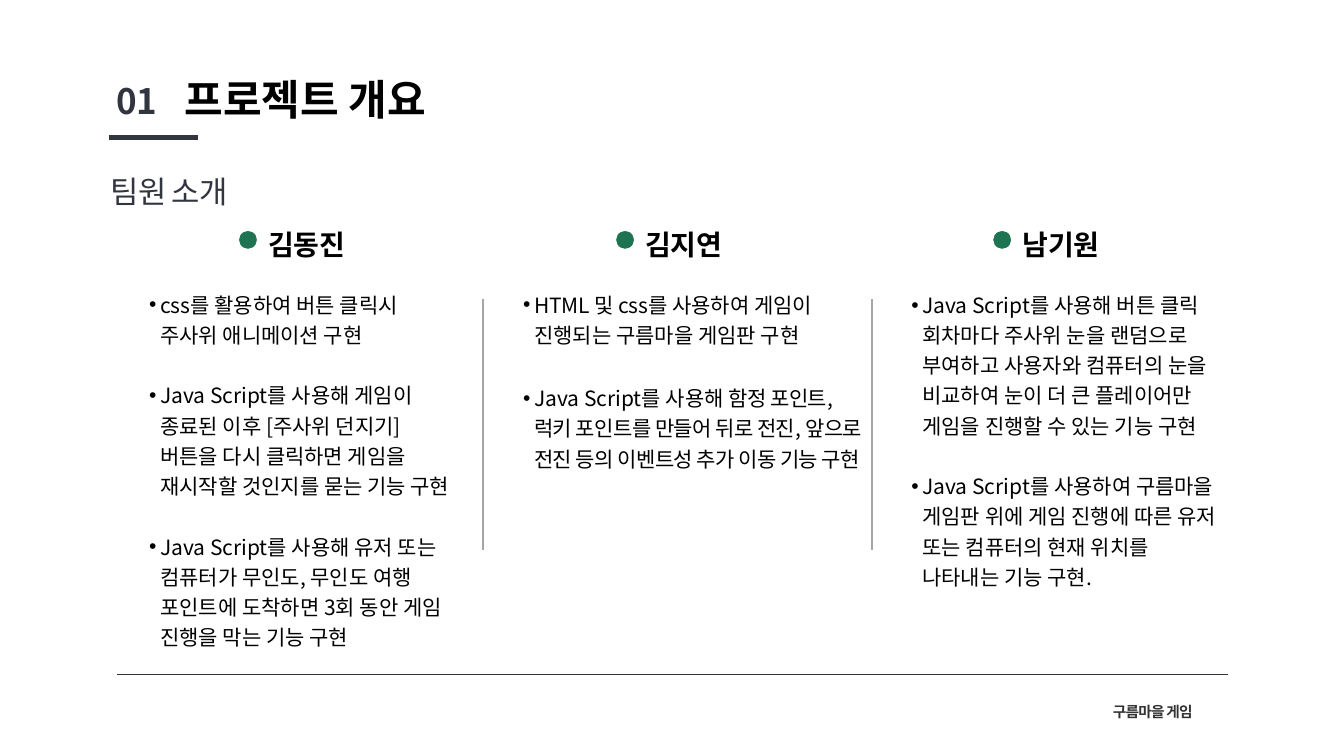
from lxml.etree import SubElement
from pptx import Presentation
from pptx.dml.color import RGBColor
from pptx.enum.shapes import MSO_CONNECTOR as Connector, MSO_SHAPE as Shape
from pptx.enum.text import MSO_ANCHOR as Anchor, PP_ALIGN as Align
from pptx.oxml.ns import qn
from pptx.util import Inches, Pt

NOTO = "Noto Sans CJK KR"
CALIBRI = "Calibri"
BLACK, SLATE, GREEN, GRAY = "000000", "313540", "1E7452", "A6A6A6"
BODY_TOP = 2.8
TASK_LINE_SPACING = 1.2

# name, dot left, task box (left, width, height), gap between tasks in points,
# tasks as lists of (text, letter spacing in points)
MEMBERS = [
    ("김동진", 2.36, (1.37, 3.26, 3.7), 21.6, [
        [("css를 활용하여 버튼 클릭시 주사위 애니메이션 구현", 0)],
        [("Java Script를 사용해 게임이 종료된 이후 [주사위 던지기] 버튼을 다시 "
          "클릭하면 게임을 재시작할 것인지를 묻는 기능 구현", 0)],
        [("Java Script를 사용해 유저 또는 컴퓨터가 무인도, 무인도 여행 포인트에 "
          "도착하면 3회 동안 게임 진행을 막는 기능 구현", 0)],
    ]),
    ("김지연", 6.1, (5.08, 3.57, 2.53), 23.6, [
        [("HTML 및 css를 ", -0.1),
         ("사용하여 게임이 진행되는 구름마을 게임판 구현", 0)],
        [("Java Script를 사용해 ", 0),
         ("함정 포인트, 럭키 포인트를 만들어 뒤로 전진, 앞으로 전진 등의 "
          "이벤트성 추가 이동 기능 구현", -0.4)],
    ]),
    ("남기원", 9.84, (8.93, 3.31, 3.65), 21.6, [
        [("Java Script를 사용해 버튼 클릭 회차마다 주사위 눈을 랜덤으로 부여하고 "
          "사용자와 컴퓨터의 눈을 비교하여 눈이 더 큰 플레이어만 게임을 진행할 수 "
          "있는 기능 구현", 0)],
        [("Java Script를 사용하여 구름마을 게임판 위에 게임 진행에 따른 유저 또는 "
          "컴퓨터의 현재 위치를 나타내는 기능 구현.", 0)],
    ]),
]


def color(value):
    return RGBColor.from_string(value)


def add_span(para, text, size, font=NOTO, fill=BLACK, bold=False, spacing=0):
    span = para.add_run()
    span.text = text
    span.font.name = font
    span.font.size = Pt(size)
    span.font.bold = bold
    span.font.color.rgb = color(fill)
    properties = span._r.get_or_add_rPr()
    SubElement(properties, qn("a:ea")).set("typeface", font)
    properties.set("kern", "0")
    if spacing:
        properties.set("spc", str(round(spacing * 100)))


def add_box(page, left, top, width, height, wrap=True):
    box = page.shapes.add_textbox(
        Inches(left), Inches(top), Inches(width), Inches(height))
    box.text_frame.word_wrap = wrap
    return box.text_frame


def add_label(page, area, text, size, line_spacing=None, wrap=True, **style):
    para = add_box(page, *area, wrap=wrap).paragraphs[0]
    para.line_spacing = line_spacing
    add_span(para, text, size, **style)


def add_line(page, start, end, fill, weight):
    line = page.shapes.add_connector(
        Connector.STRAIGHT, *map(Inches, start + end))
    line.line.color.rgb = color(fill)
    line.line.width = Pt(weight)
    SubElement(line._element.spPr, qn("a:effectLst"))


def add_dot(page, left, top, size):
    dot = page.shapes.add_shape(
        Shape.OVAL, Inches(left), Inches(top), Inches(size), Inches(size))
    dot.shadow.inherit = False
    dot.fill.solid()
    dot.fill.fore_color.rgb = color(GREEN)
    dot.line.color.rgb = color("FFFFFF")
    dot.line.width = Pt(1.5)


def add_bullet(para):
    properties = para._p.get_or_add_pPr()
    properties.set("marL", str(Inches(0.12)))
    properties.set("indent", str(Inches(-0.11)))
    SubElement(properties, qn("a:buFont")).set("typeface", "Arial")
    SubElement(properties, qn("a:buChar")).set("char", "•")


def add_tasks(page, left, width, height, gap, tasks):
    frame = add_box(page, left, BODY_TOP, width, height)
    for index, spans in enumerate(tasks):
        para = frame.add_paragraph() if index else frame.paragraphs[0]
        para.line_spacing = TASK_LINE_SPACING
        if index:
            para.space_before = Pt(gap)
        add_bullet(para)
        for text, spacing in spans:
            add_span(para, text, 15, spacing=spacing)


def add_member(page, name, dot_left, column, gap, tasks):
    add_dot(page, dot_left, 2.28, 0.2)
    add_label(page, (dot_left + 0.2, 2.21, 1.38, 0.43), name, 20,
              font=CALIBRI, bold=True)
    add_tasks(page, *column, gap, tasks)


def set_title(page, text):
    title = page.shapes.title
    title.left, title.top = Inches(1.73), Inches(0.68)
    title.width, title.height = Inches(3.38), Inches(0.59)
    frame = title.text_frame
    frame.word_wrap = True
    frame.vertical_anchor = Anchor.TOP
    para = frame.paragraphs[0]
    para.alignment = Align.LEFT
    para.line_spacing = 1.0
    para.space_before = Pt(0)
    add_span(para, text, 30, font=CALIBRI, bold=True)


def main():
    deck = Presentation()
    deck.slide_width, deck.slide_height = Inches(13.33), Inches(7.5)
    page = deck.slides.add_slide(deck.slide_layouts[5])

    set_title(page, "프로젝트 개요")
    add_label(page, (1.06, 0.68, 0.61, 0.57), "01", 25, 1.14, wrap=False,
              fill=SLATE, bold=True, spacing=-0.5)
    add_line(page, (1.08, 1.36), (1.96, 1.36), SLATE, 3.5)
    add_label(page, (1, 1.61, 1.64, 0.51), "팀원 소개", 22, 1.14,
              fill=SLATE, spacing=-0.5)

    for member in MEMBERS:
        add_member(page, *member)
    for x in (4.79, 8.65):
        add_line(page, (x, 2.97), (x, 5.46), GRAY, 1)

    add_line(page, (1.16, 6.69), (12.18, 6.69), SLATE, 1)
    add_label(page, (10.94, 6.89, 1.11, 0.31), "구름마을 게임", 10.5, 1.2,
              wrap=False, fill="333333", bold=True, spacing=-0.5)
    deck.save("out.pptx")


if __name__ == "__main__":
    main()
